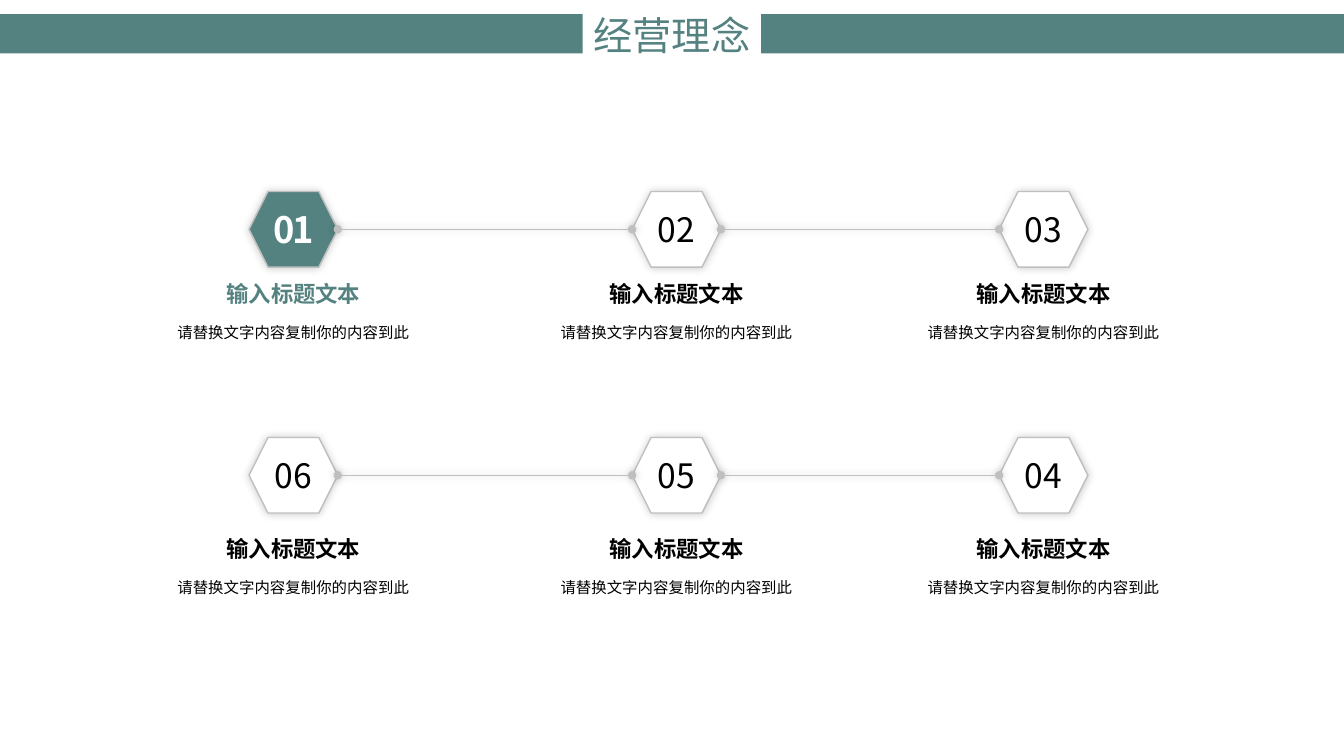
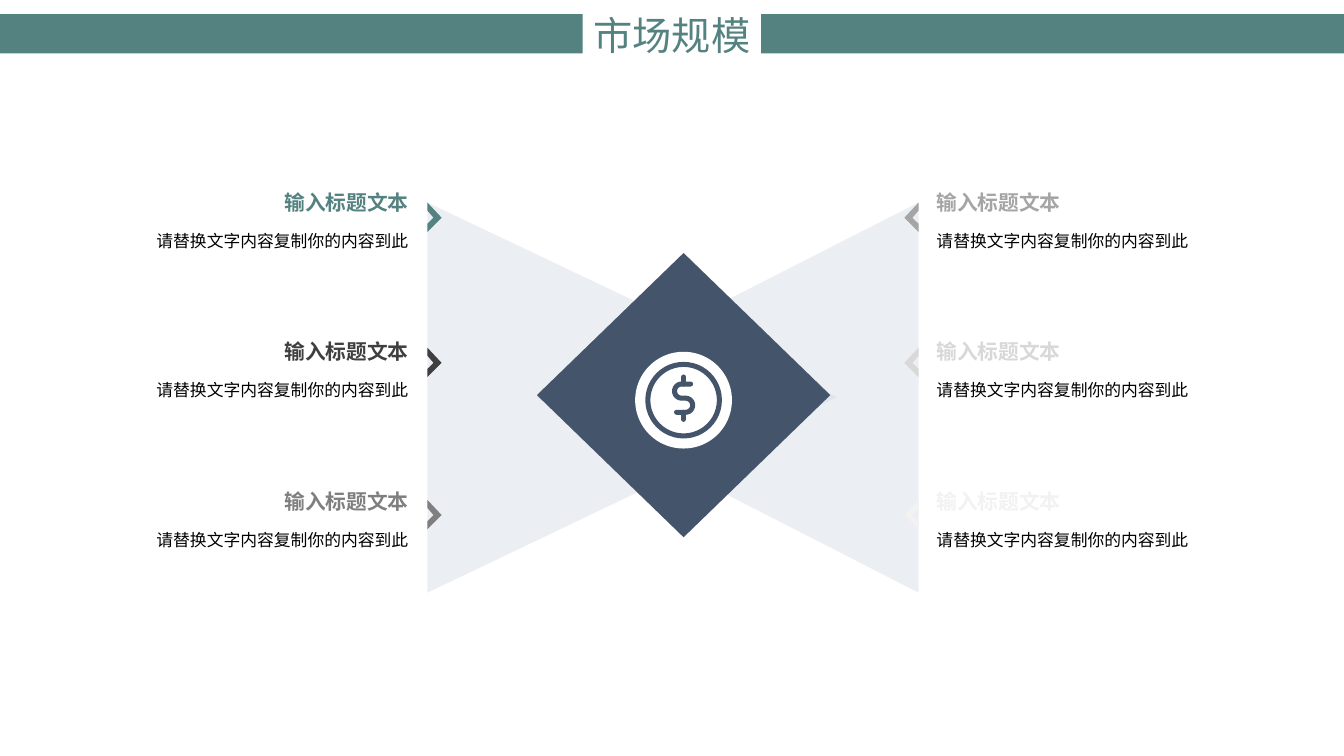
import dataclasses
import math
from typing import NamedTuple, Optional

import lxml.etree
import pptx
import pptx.dml.color
import pptx.enum.shapes
import pptx.enum.text
import pptx.oxml.ns
import pptx.util

SHAPE = pptx.enum.shapes.MSO_SHAPE
ALIGN = pptx.enum.text.PP_ALIGN
ANCHOR = pptx.enum.text.MSO_ANCHOR
inch = pptx.util.Inches
qn = pptx.oxml.ns.qn


@dataclasses.dataclass(frozen=True)
class Theme:
    font: str = "Noto Sans CJK SC"
    teal: str = "548280"
    navy: str = "44546A"
    mist: str = "D6DCE5"
    rule: str = "BFBFBF"
    black: str = "000000"
    white: str = "FFFFFF"
    title_size: float = 28
    number_size: float = 24
    active_size: float = 25.9
    step_heading_size: float = 16
    step_body_size: float = 11
    item_heading_size: float = 14.8
    item_body_size: float = 12


THEME = Theme()
SLIDE_WIDTH, SLIDE_HEIGHT = 13.33, 7.5
HEADING = "输入标题文本"
BODY = "请替换文字内容复制你的内容到此"


class Box(NamedTuple):
    left: float
    top: float
    width: float
    height: float

    def lengths(self) -> list:
        return [inch(value) for value in self]


class Style(NamedTuple):
    size: float
    color: str
    bold: bool = False
    align: ALIGN = ALIGN.CENTER
    anchor: ANCHOR = ANCHOR.TOP
    line_spacing: Optional[float] = None
    tracking: float = 0
    wrap: bool = False
    inset: bool = True


class Step(NamedTuple):
    number: str
    column: int
    row: int
    active: bool = False


class StepRow(NamedTuple):
    hexagon_top: float
    heading_top: float


class Item(NamedTuple):
    row: int
    on_right: bool
    color: str


# Drawing helpers
def rgb(color: str) -> pptx.dml.color.RGBColor:
    return pptx.dml.color.RGBColor.from_string(color)


def write(shape, text: str, style: Style) -> None:
    frame = shape.text_frame
    frame.text = text
    frame.word_wrap = style.wrap
    frame.vertical_anchor = style.anchor
    if not style.inset:
        frame.margin_left = frame.margin_right = 0
        frame.margin_top = frame.margin_bottom = 0
    para = frame.paragraphs[0]
    para.alignment = style.align
    if style.line_spacing:
        para.line_spacing = style.line_spacing
    span = para.runs[0]
    span.font.size = pptx.util.Pt(style.size)
    span.font.bold = style.bold
    span.font.name = THEME.font
    span.font.color.rgb = rgb(style.color)
    properties = span.font._element
    lxml.etree.SubElement(properties, qn("a:ea"), typeface=THEME.font)
    if style.tracking:
        properties.set("spc", str(round(style.tracking * 100)))


def add_text(page, box: Box, text: str, style: Style) -> None:
    write(page.shapes.add_textbox(*box.lengths()), text, style)


def paint(shape, fill: Optional[str], line: Optional[str] = None,
          weight: float = 1) -> None:
    shape.shadow.inherit = False
    if fill:
        shape.fill.solid()
        shape.fill.fore_color.rgb = rgb(fill)
    else:
        shape.fill.background()
    if line:
        shape.line.color.rgb = rgb(line)
        shape.line.width = pptx.util.Pt(weight)
    else:
        shape.line.fill.background()


def add_shape(page, kind: SHAPE, box: Box, fill: Optional[str],
              line: Optional[str] = None, weight: float = 1):
    shape = page.shapes.add_shape(kind, *box.lengths())
    paint(shape, fill, line, weight)
    return shape


def add_outline(page, *paths: list, closed: bool = True):
    points = [[(inch(x), inch(y)) for x, y in path] for path in paths]
    builder = page.shapes.build_freeform(*points[0][0], scale=1.0)
    builder.add_line_segments(points[0][1:], close=closed)
    for path in points[1:]:
        builder.move_to(*path[0])
        builder.add_line_segments(path[1:], close=closed)
    return builder.convert_to_shape()


def add_soft_shadow(shape) -> None:
    properties = shape._element.spPr
    effects = properties.find(qn("a:effectLst"))
    if effects is None:
        effects = lxml.etree.SubElement(properties, qn("a:effectLst"))
    shadow = lxml.etree.SubElement(
        effects, qn("a:outerShdw"), blurRad=str(pptx.util.Pt(6)), dist="0",
        dir=str(315 * 60000), algn="ctr", rotWithShape="0")
    color = lxml.etree.SubElement(shadow, qn("a:srgbClr"), val=THEME.black)
    lxml.etree.SubElement(color, qn("a:alpha"), val="20000")


def add_dotted_link(page, start: float, end: float, height: float) -> None:
    link = page.shapes.add_connector(
        pptx.enum.shapes.MSO_CONNECTOR.STRAIGHT,
        inch(start), inch(height), inch(end), inch(height))
    link.line.color.rgb = rgb(THEME.rule)
    link.line.width = pptx.util.Pt(1)
    for tip in ("a:headEnd", "a:tailEnd"):
        lxml.etree.SubElement(link.line._ln, qn(tip), type="oval")
    add_soft_shadow(link)


# Shared page: two bands with the title between them
def add_page(deck, title: str):
    page = deck.slides.add_slide(deck.slide_layouts[6])
    title_width = 1.77
    band_width = (SLIDE_WIDTH - title_width) / 2
    for left in (0, band_width + title_width):
        add_shape(page, SHAPE.RECTANGLE, Box(left, 0.14, band_width, 0.39),
                  THEME.teal)
    add_text(page, Box(band_width, 0.06, title_width, 0.57), title,
             Style(THEME.title_size, THEME.teal, anchor=ANCHOR.MIDDLE))
    return page


# Slide 1: six linked steps
STEP_CENTERS = (2.91, 6.71, 10.35)
STEP_ROWS = (StepRow(1.9, 2.78), StepRow(4.34, 5.31))
HEXAGON_WIDTH, HEXAGON_HEIGHT = 0.88, 0.75
STEPS = (
    Step("01", 0, 0, active=True), Step("02", 1, 0), Step("03", 2, 0),
    Step("06", 0, 1), Step("05", 1, 1), Step("04", 2, 1),
)


def centered(center: float, top: float, width: float, height: float) -> Box:
    return Box(center - width / 2, top, width, height)


def add_step(page, step: Step) -> None:
    center, row = STEP_CENTERS[step.column], STEP_ROWS[step.row]
    hexagon = add_shape(
        page, SHAPE.HEXAGON,
        centered(center, row.hexagon_top, HEXAGON_WIDTH, HEXAGON_HEIGHT),
        THEME.teal if step.active else THEME.white, THEME.rule)
    add_soft_shadow(hexagon)
    number = Style(THEME.number_size, THEME.black, anchor=ANCHOR.MIDDLE)
    if step.active:
        number = number._replace(size=THEME.active_size, color=THEME.white,
                                 bold=True, tracking=-1.5)
    write(hexagon, step.number, number)
    add_text(page, centered(center, row.heading_top + 0.39, 3.26, 0.44), BODY,
             Style(THEME.step_body_size, THEME.black, line_spacing=1.2,
                   wrap=True, inset=False))
    add_text(page, centered(center, row.heading_top, 1.35, 0.27), HEADING,
             Style(THEME.step_heading_size,
                   THEME.teal if step.active else THEME.black,
                   bold=True, anchor=ANCHOR.MIDDLE, inset=False))


def build_steps(deck) -> None:
    page = add_page(deck, "经营理念")
    for step in STEPS:
        add_step(page, step)
    for row in STEP_ROWS:
        for before, after in zip(STEP_CENTERS, STEP_CENTERS[1:]):
            add_dotted_link(page, before + HEXAGON_WIDTH / 2,
                            after - HEXAGON_WIDTH / 2,
                            row.hexagon_top + HEXAGON_HEIGHT / 2)


# Slide 2: three items on each side of a diamond
ITEM_TOPS = (1.86, 3.34, 4.83)
CHEVRON_TOPS = (2.01, 3.45, 4.96)
LEFT_EDGE, RIGHT_EDGE = 4.24, 9.11
ITEMS = (
    Item(0, False, THEME.teal), Item(1, False, "3F3F3F"),
    Item(2, False, "7F7F7F"), Item(0, True, "A5A5A5"),
    Item(1, True, "D8D8D8"), Item(2, True, "F2F2F2"),
)


def add_item(page, item: Item) -> None:
    top = ITEM_TOPS[item.row]
    align = ALIGN.LEFT if item.on_right else ALIGN.RIGHT
    for text, offset, width, height, style in (
        (BODY, 0.34, 3.44, 0.59,
         Style(THEME.item_body_size, THEME.black, align=align,
               line_spacing=1.2, wrap=True)),
        (HEADING, 0, 1.8, 0.34,
         Style(THEME.item_heading_size, item.color, bold=True, align=align,
               line_spacing=0.9, wrap=True)),
    ):
        left = 9.19 if item.on_right else 4.15 - width
        add_text(page, Box(left, top + offset, width, height), text, style)


def add_chevron(page, item: Item) -> None:
    top = CHEVRON_TOPS[item.row]
    edge, inward = (RIGHT_EDGE, -1) if item.on_right else (LEFT_EDGE, 1)
    profile = ((0, 0), (0.14, 0.15), (0, 0.29),
               (0, 0.21), (0.06, 0.15), (0, 0.08))
    chevron = add_outline(page, [(edge + inward * x, top + y)
                                 for x, y in profile])
    paint(chevron, item.color)


def add_wing(page, edge: float, tip: float) -> None:
    wing = add_outline(page, [(edge, 2.01), (tip, 3.94), (edge, 5.88)])
    paint(wing, THEME.mist)
    color = wing._element.spPr.find(qn("a:solidFill"))[0]
    lxml.etree.SubElement(color, qn("a:alpha"), val="47000")


def add_coin(page, x: float, y: float) -> None:
    stroke = 3.6
    for diameter, line in ((0.96, None), (0.71, THEME.navy)):
        box = Box(x - diameter / 2, y - diameter / 2, diameter, diameter)
        add_shape(page, SHAPE.OVAL, box, THEME.white, line, stroke)
    middle, radius, half_bar = y - 0.02, 0.07, 0.07
    turns = [math.pi * step / 12 for step in range(13)]
    upper = [(x - 0.02 - radius * math.sin(turn),
              middle - radius - radius * math.cos(turn)) for turn in turns]
    lower = [(x + 0.02 + radius * math.sin(turn),
              middle + radius - radius * math.cos(turn)) for turn in turns]
    curve = [(x + half_bar, middle - 2 * radius), *upper, *lower,
             (x - half_bar, middle + 2 * radius)]
    stems = [[(x, middle + side * 2 * radius), (x, middle + side * 0.21)]
             for side in (-1, 1)]
    sign = add_outline(page, curve, *stems, closed=False)
    paint(sign, None, THEME.navy, stroke)
    sign.line._ln.set("cap", "rnd")


def build_market(deck) -> None:
    page = add_page(deck, "市场规模")
    for item in ITEMS:
        add_item(page, item)
    add_wing(page, RIGHT_EDGE, 5.32)
    add_wing(page, LEFT_EDGE, 8.3)
    for item in ITEMS:
        add_chevron(page, item)
    add_shape(page, SHAPE.DIAMOND, centered(6.78, 2.51, 2.91, 2.82),
              THEME.navy)
    add_coin(page, 6.78, 3.97)


def main() -> None:
    deck = pptx.Presentation()
    deck.slide_width, deck.slide_height = inch(SLIDE_WIDTH), inch(SLIDE_HEIGHT)
    build_steps(deck)
    build_market(deck)
    deck.save("out.pptx")


if __name__ == "__main__":
    main()
